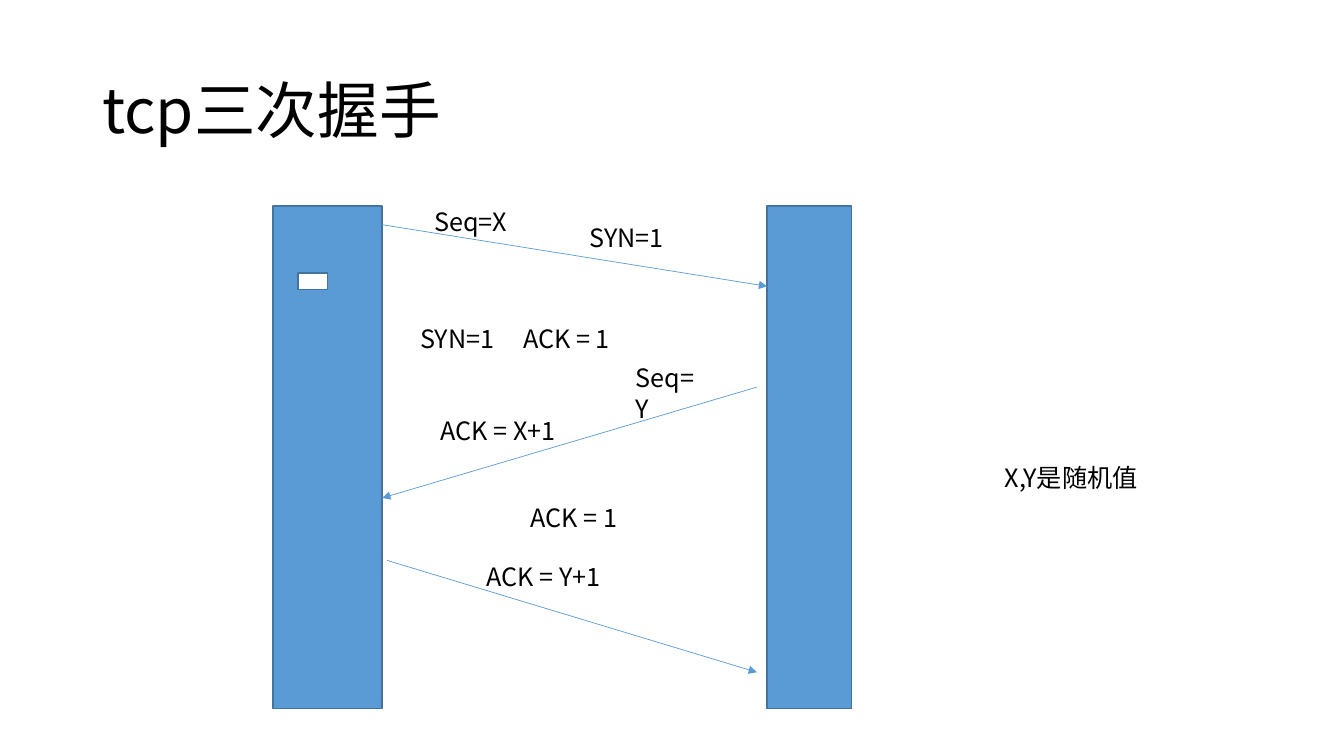
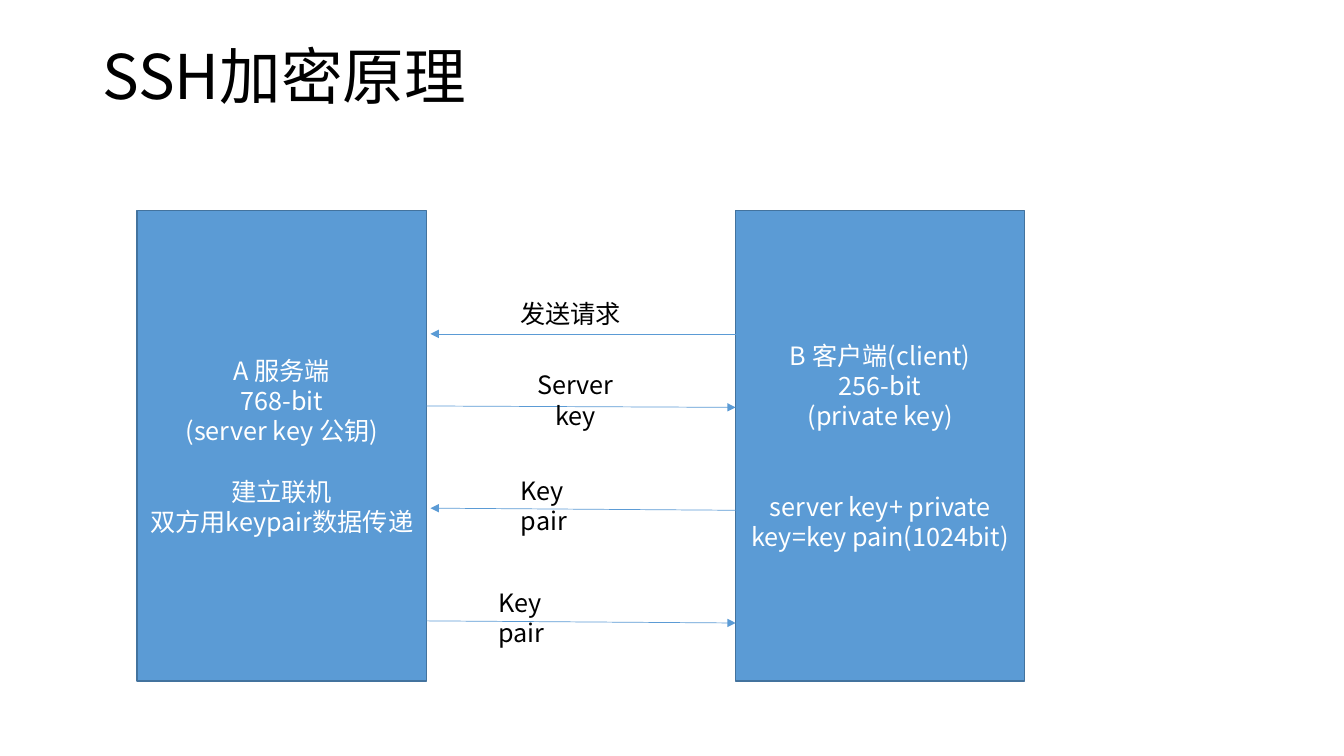
from lxml.etree import SubElement as Sub
from pptx import Presentation
from pptx.dml.color import RGBColor as Rgb
from pptx.enum.shapes import MSO_CONNECTOR as Conn, MSO_SHAPE as Form
from pptx.enum.text import MSO_ANCHOR as Anchor, MSO_AUTO_SIZE as Auto, PP_ALIGN as Align
from pptx.oxml.ns import qn
from pptx.util import Pt

FONT = "Noto Sans CJK SC"
HUES = {"ink": "000000", "paper": "FFFFFF", "blue": "5B9BD5", "edge": "43739E"}
PITCH = 21.6


def hue(name):
    return Rgb.from_string(HUES[name])


def style(para, size, color, align, pitch):
    para.alignment = align
    para.line_spacing = pitch
    font = para.font
    font.name, font.size = FONT, Pt(size)
    font.color.rgb = hue(color)
    props = para._p.get_or_add_pPr().find(qn("a:defRPr"))
    Sub(props, qn("a:ea"), typeface=FONT)


def title(slide, text, high):
    frame = slide.shapes.add_textbox(Pt(66), Pt(29), Pt(828), Pt(high)).text_frame
    frame.word_wrap = True
    frame.vertical_anchor = Anchor.MIDDLE
    frame.text = text
    style(frame.paragraphs[0], 44, "ink", Align.LEFT, 0.9)


def label(slide, text, x, y, wide, align=Align.LEFT):
    frame = slide.shapes.add_textbox(Pt(x), Pt(y), Pt(wide), Pt(29)).text_frame
    frame.word_wrap = True
    frame.auto_size = Auto.SHAPE_TO_FIT_TEXT
    frame.text = text
    style(frame.paragraphs[0], 18, "ink", align, Pt(PITCH))


def block(slide, x, y, wide, high, fill="blue", lines=()):
    box = slide.shapes.add_shape(Form.RECTANGLE, Pt(x), Pt(y), Pt(wide), Pt(high))
    box.shadow.inherit = False
    box.fill.solid()
    box.fill.fore_color.rgb = hue(fill)
    box.line.color.rgb = hue("edge")
    box.line.width = Pt(1)
    frame = box.text_frame
    frame.vertical_anchor = Anchor.MIDDLE
    for i, (text, gap) in enumerate(lines):
        para = frame.add_paragraph() if i else frame.paragraphs[0]
        para.text = text
        style(para, 18, "paper", Align.CENTER, Pt(PITCH))
        para.space_before = Pt(gap * PITCH)


def arrow(slide, *ends):
    line = slide.shapes.add_connector(Conn.STRAIGHT, *map(Pt, ends))
    line.line.color.rgb = hue("blue")
    line.line.width = Pt(0.5)
    Sub(line.line._get_or_add_ln(), qn("a:tailEnd"), type="triangle")
    Sub(line._element.spPr, qn("a:effectLst"))


def tcp(slide):
    title(slide, "tcp三次握手", 104)
    for x, wide in ((548, 60.5), (195, 78)):
        block(slide, x, 147, wide, 359)
    block(slide, 213, 195, 21, 12, "paper")
    for ends in (
        (273, 160.5, 548, 204.5),
        (540.7, 276.5, 273, 355.7),
        (276.5, 400.3, 540.7, 480.2),
    ):
        arrow(slide, *ends)
    for note in (
        ("Seq=X", 303, 144, 101),
        ("SYN=1", 414, 155, 69),
        ("SYN=1", 293, 227.5, 69),
        ("ACK = 1", 366.5, 227.5, 84),
        ("Seq=Y", 447, 255.5, 65.5),
        ("ACK = X+1", 307.5, 293, 106.5),
        ("ACK = 1", 372, 355.5, 84),
        ("ACK = Y+1", 340.5, 397.5, 106.5),
        ("X,Y是随机值", 710.5, 327, 111.5),
    ):
        label(slide, *note)


def ssh(slide):
    title(slide, "SSH加密原理", 55.5)
    server = (
        ("A 服务端", 0),
        ("768-bit", 0),
        ("(server key 公钥)", 0),
        ("建立联机", 1),
        ("双方用keypair数据传递", 0),
    )
    client = (
        ("B 客户端(client)", 0),
        ("256-bit", 0),
        ("(private key)", 0),
        ("server key+ private key=key pain(1024bit)", 2),
    )
    for x, lines in ((98, server), (525.5, client)):
        block(slide, x, 150.5, 206.5, 336, lines=lines)
    for ends in (
        (525.5, 238.5, 307.5, 238.5),
        (304.5, 290, 525.5, 291),
        (525.5, 364.5, 307.5, 363),
        (304.5, 443.5, 525.5, 445),
    ):
        arrow(slide, *ends)
    for note in (
        ("发送请求", 364, 209.5, 87, Align.CENTER),
        ("Server key", 363.5, 260.5, 95, Align.CENTER),
        ("Key pair", 365, 336, 77),
        ("Key pair", 349, 416, 77),
    ):
        label(slide, *note)


def main():
    deck = Presentation()
    deck.slide_width, deck.slide_height = Pt(960), Pt(540)
    for build in (tcp, ssh):
        build(deck.slides.add_slide(deck.slide_layouts[6]))
    deck.save("out.pptx")


main()
